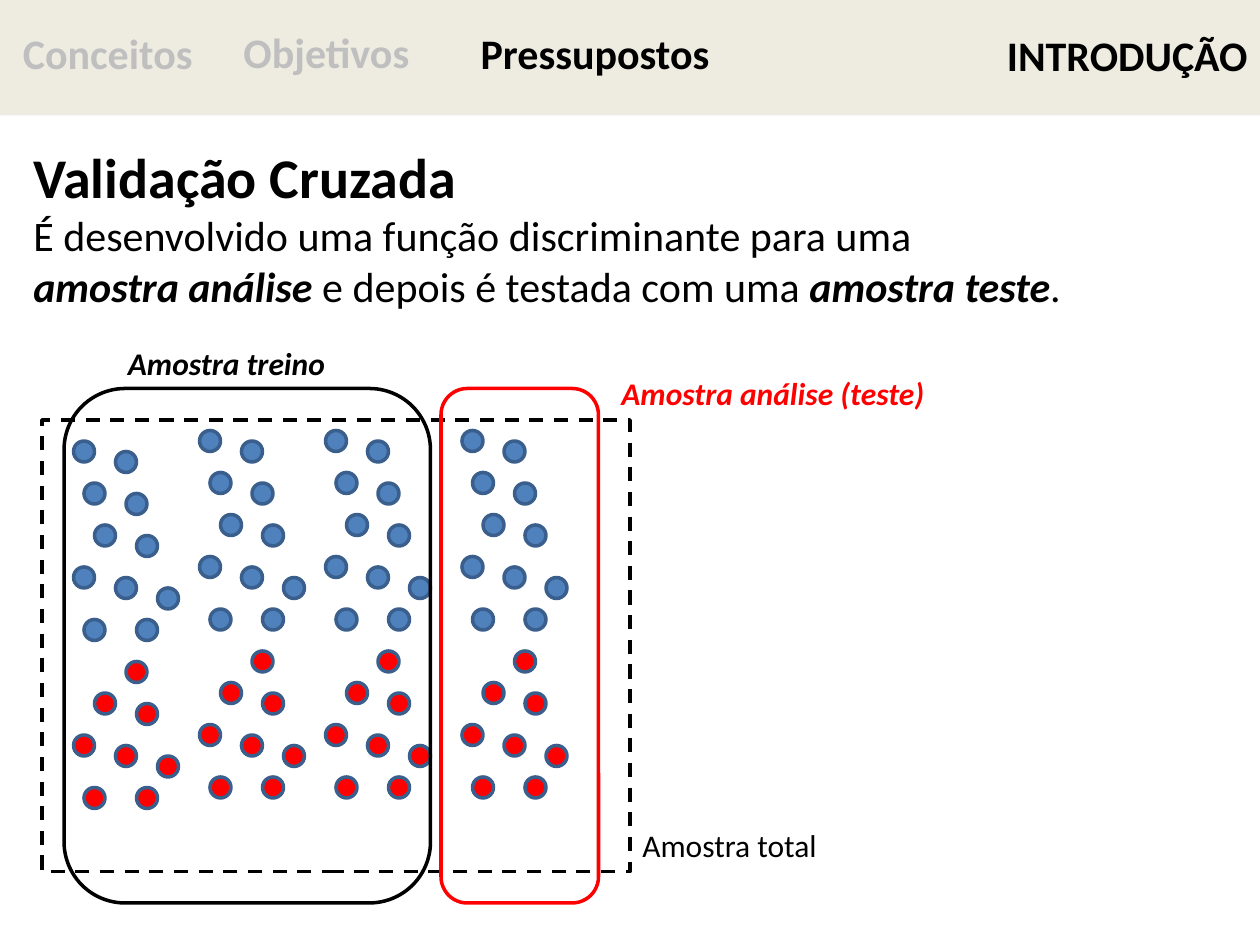
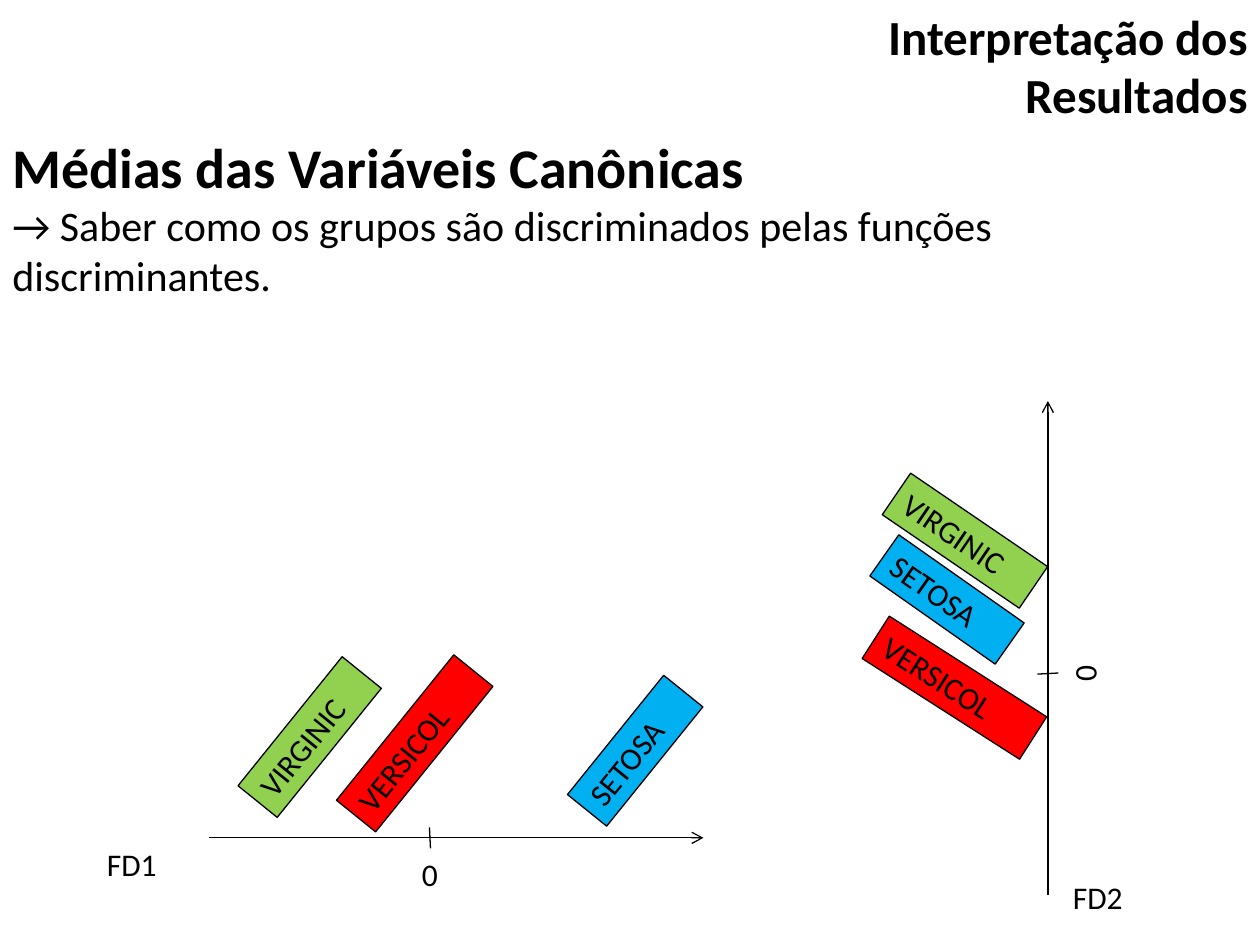
from dataclasses import dataclass

from pptx import Presentation
from pptx.dml.color import RGBColor
from pptx.enum.dml import MSO_LINE_DASH_STYLE as Dash
from pptx.enum.shapes import MSO_CONNECTOR as Conn, MSO_SHAPE as Shape
from pptx.enum.text import MSO_ANCHOR as Anchor, PP_ALIGN as Align
from pptx.oxml.ns import qn
from pptx.oxml.xmlchemy import OxmlElement
from pptx.util import Inches, Pt


@dataclass(frozen=True)
class Theme:
    font: str = "Calibri"
    ink: str = "000000"
    paper: str = "FFFFFF"
    muted: str = "BFBFBF"
    band: str = "EEECE1"
    dot: str = "4F81BD"
    dot_line: str = "3A5F8C"
    red: str = "FF0000"
    green: str = "92D050"
    sky: str = "00B0F0"
    heading: int = 32
    title: int = 28
    body: int = 24
    label: int = 18
    thick: float = 2
    thin: float = 0.75


@dataclass(frozen=True)
class Box:
    x: float
    y: float
    w: float
    h: float

    def sub(self, x, y, w=0, h=0):
        return Box(self.x + x, self.y + y, w, h)

    def emu(self):
        return [grid(v) for v in (self.x, self.y, self.w, self.h)]


T = Theme()
COLS, ROWS, PER_INCH = 120, 90, 12
LABEL_H = 4.8
DOT = 2
BLUE_DOTS = [(0, 0), (4, 1), (1, 4), (5, 5), (2, 8), (6, 9),
             (0, 12), (4, 13), (8, 14), (6, 17), (1, 17)]
RED_DOTS = [(x, y + 16) for x, y in BLUE_DOTS[3:]]
CLUSTERS = [(3, 10), (15, 9), (27, 9), (40, 9)]
SPECIES = [("SETOSA", T.sky, 14.6), ("VERSICOL", T.red, 17.8),
           ("VIRGINIC", T.green, 15.8)]


def grid(v):
    return Inches(v / PER_INCH)


def rgb(color):
    return RGBColor.from_string(color)


def add_run(p, text, size=T.label, color=T.ink, bold=False, italic=False):
    r = p.add_run()
    r.text = text
    f = r.font
    f.name, f.size, f.bold, f.italic = T.font, Pt(size), bold, italic
    f.color.rgb = rgb(color)


def write(sp, text, align=Align.LEFT, anchor=Anchor.TOP, spacing=None, **fmt):
    tf = sp.text_frame
    tf.word_wrap = True
    tf.vertical_anchor = anchor
    p = tf.paragraphs[0]
    p.alignment = align
    p.line_spacing = spacing
    add_run(p, text, **fmt)


def add_text(s, box, text, rotation=0, **fmt):
    sp = s.shapes.add_textbox(*box.emu())
    sp.rotation = rotation
    write(sp, text, **fmt)
    return sp


def add_shape(s, kind, box, fill=None, line=None, width=T.thick, dash=None):
    sp = s.shapes.add_shape(kind, *box.emu())
    sp.shadow.inherit = False
    if fill:
        sp.fill.solid()
        sp.fill.fore_color.rgb = rgb(fill)
    else:
        sp.fill.background()
    if line:
        sp.line.color.rgb = rgb(line)
        sp.line.width = Pt(width)
        sp.line.dash_style = dash
    else:
        sp.line.fill.background()
    return sp


def add_line(s, start, end, arrow=False):
    ends = [grid(v) for v in (start.x, start.y, end.x, end.y)]
    c = s.shapes.add_connector(Conn.STRAIGHT, *ends)
    c.line.color.rgb = rgb(T.ink)
    c.line.width = Pt(T.thin)
    sp_pr = c._element.spPr
    if arrow:
        tail = OxmlElement("a:tailEnd")
        tail.set("type", "arrow")
        sp_pr.find(qn("a:ln")).append(tail)
    sp_pr.append(OxmlElement("a:effectLst"))


def header_band(s, box):
    band = add_shape(s, Shape.RECTANGLE, box, T.band)
    write(band, "INTRODUÇÃO", align=Align.RIGHT, anchor=Anchor.MIDDLE,
          spacing=0.9, size=T.body, bold=True)
    tabs = [("Conceitos", 1, 2, 19, T.muted), ("Objetivos", 22, 1.9, 21, T.muted),
            ("Pressupostos", 44.6, 2, 24.5, T.ink)]
    for name, x, y, w, color in tabs:
        add_text(s, box.sub(x, y, w, 6), name, size=T.body, color=color, bold=True)


def statement(s, box, heading, lines):
    sp = add_text(s, box, heading, size=T.heading, bold=True)
    for line in lines:
        p = sp.text_frame.add_paragraph()
        for text, strong in line:
            add_run(p, text, size=T.body, bold=strong, italic=strong)


def dot_cluster(s, box):
    for dots, color in ((BLUE_DOTS, T.dot), (RED_DOTS, T.red)):
        for x, y in dots:
            add_shape(s, Shape.OVAL, box.sub(x, y, DOT, DOT), color, T.dot_line)


def sample_diagram(s, box):
    add_shape(s, Shape.RECTANGLE, box.sub(0, 8, 56, 43), T.paper, T.ink, dash=Dash.DASH)
    for x, y in CLUSTERS:
        dot_cluster(s, box.sub(x, y))
    for x, w, color in ((38, 15, T.red), (2.1, 34.9, T.ink)):
        add_shape(s, Shape.ROUNDED_RECTANGLE, box.sub(x, 5, w, 49), line=color)
    labels = [("Amostra total", 56, 46.1, 20.5, T.ink, False),
              ("Amostra análise (teste)", 54, 3, 32, T.red, True),
              ("Amostra treino", 7, 0.2, 22, T.ink, True)]
    for text, x, y, w, color, strong in labels:
        add_text(s, box.sub(x, y, w, LABEL_H), text, color=color,
                 bold=strong, italic=strong)


def axis_diagram(s, box, name, axis, tick, name_at, zero_at, tags, zero_turn=0):
    add_line(s, *(box.sub(*pt) for pt in axis), arrow=True)
    add_line(s, *(box.sub(*pt) for pt in tick))
    add_text(s, box.sub(*name_at, 8.2, LABEL_H), name)
    add_text(s, box.sub(*zero_at, 4.1, LABEL_H), "0", rotation=zero_turn)
    for (species, color, w), (x, y, turn) in zip(SPECIES, tags):
        sp = add_shape(s, Shape.RECTANGLE, box.sub(x, y, w, LABEL_H), color, T.ink, T.thin)
        sp.rotation = turn
        write(sp, species)


def validation_slide(s):
    header_band(s, Box(0, 0, COLS, 11))
    statement(s, Box(2, 13, 115, 17.4), "Validação Cruzada", [
        [("É desenvolvido uma função discriminante para uma", False)],
        [("amostra análise ", True), ("e depois é testada com uma ", False),
         ("amostra teste", True), (".", False)]])
    sample_diagram(s, Box(4, 32, 86, 54))


def means_slide(s):
    add_text(s, Box(69, 0, 51, 12.5), "Interpretação dos Resultados",
             align=Align.RIGHT, size=T.title, bold=True)
    statement(s, Box(0, 12, COLS, 17.4), "Médias das Variáveis Canônicas", [
        [("→ Saber como os grupos são discriminados pelas funções discriminantes.", False)]])
    axis_diagram(s, Box(9, 66, 59, 20), "FD1",
                 axis=[(10.9, 13.8), (58, 13.8)], tick=[(32, 14.8), (31.9, 12.8)],
                 name_at=(0, 13.9), zero_at=(30, 14.8),
                 tags=[(44.2, 3.1, 308.9), (21.6, 2.4, 308.9), (12.6, 1.8, 308.9)])
    axis_diagram(s, Box(82, 38, 28, 50), "FD2",
                 axis=[(17.8, 47.2), (17.8, 0.2)], tick=[(18.8, 26.1), (16.8, 26.2)],
                 name_at=(19, 45), zero_at=(19.2, 23.6), zero_turn=270,
                 tags=[(0.9, 16.7, 35.1), (0, 25.1, 32.6), (2, 11.1, 34.3)])


def main():
    prs = Presentation()
    prs.slide_width, prs.slide_height = grid(COLS), grid(ROWS)
    for build in (validation_slide, means_slide):
        build(prs.slides.add_slide(prs.slide_layouts[6]))
    prs.save("out.pptx")


if __name__ == "__main__":
    main()
